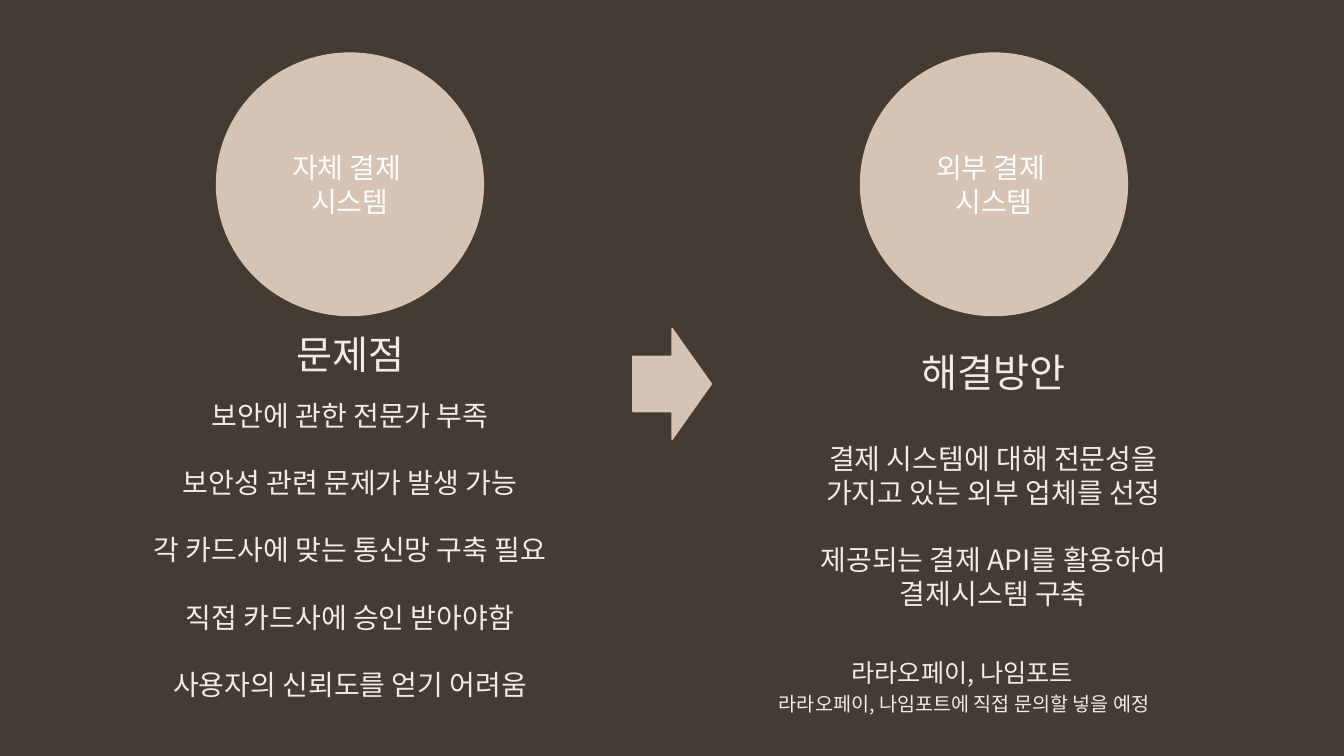
from pptx import Presentation
from pptx.dml.color import RGBColor
from pptx.enum.shapes import MSO_SHAPE
from pptx.enum.text import MSO_ANCHOR, MSO_AUTO_SIZE, PP_ALIGN
from pptx.oxml.ns import qn
from pptx.util import Cm, Pt

OVAL, ARROW = MSO_SHAPE.OVAL, MSO_SHAPE.RIGHT_ARROW
TOP, MIDDLE = MSO_ANCHOR.TOP, MSO_ANCHOR.MIDDLE
FIXED = MSO_AUTO_SIZE.NONE
LEFT, CENTER = PP_ALIGN.LEFT, PP_ALIGN.CENTER

FONT = "Noto Sans CJK KR"
COLORS = {"back": "443B32", "sand": "D6C3B4", "cream": "F1ECE6", "white": "FFFFFF"}

# Boxes are left, top, width, height in cm; each point is a list of lines
SIDES = [
    {
        "circle": ["자체 결제 ", "시스템"],
        "left": 5.44,
        "head": "문제점",
        "head_box": (7.19, 8.2, 3.28, 1.45),
        "points": [
            ["보안에 관한 전문가 부족"],
            ["보안성 관련 문제가 발생 가능"],
            ["각 카드사에 맞는 통신망 구축 필요"],
            ["직접 카드사에 승인 받아야함"],
            ["사용자의 신뢰도를 얻기 어려움"],
        ],
        "list_box": (3.4, 9.91, 10.85, 7.95),
    },
    {
        "circle": ["외부 결제 ", "시스템"],
        "left": 21.67,
        "head": "해결방안",
        "head_box": (22.91, 8.64, 4.27, 1.45),
        "points": [
            ["결제 시스템에 대해 전문성을", "가지고 있는 외부 업체를 선정"],
            ["제공되는 결제 API를 활용하여", "결제시스템 구축"],
        ],
        "list_box": (20.17, 11, 9.73, 4.52),
    },
]
NOTES = [
    ("라라오페이, 나임포트", 18, CENTER, (20.07, 16.43, 8.36, 1.02)),
    ("라라오페이, 나임포트에 직접 문의할 넣을 예정", 14, LEFT, (19.38, 17.32, 10.19, 0.86)),
]
CIRCLE_TOP, CIRCLE_W, CIRCLE_H = 1.32, 6.76, 6.65
ARROW_BOX = (15.95, 8.28, 1.98, 2.79)


def paint(fill, color):
    fill.solid()
    fill.fore_color.rgb = RGBColor.from_string(COLORS[color])


def place(shape, box):
    shape.left, shape.top, shape.width, shape.height = map(Cm, box)


def write(shape, points, size, color="cream", align=CENTER, anchor=TOP):
    """Fill a shape with lines, leaving one line of space between points."""
    frame = shape.text_frame
    frame.word_wrap = True
    frame.auto_size = FIXED
    frame.vertical_anchor = anchor
    rows = [(line, n > 0 and k == 0)
            for n, point in enumerate(points) for k, line in enumerate(point)]
    for n, (line, gap) in enumerate(rows):
        par = frame.paragraphs[0] if n == 0 else frame.add_paragraph()
        par.text = line
        par.alignment = align
        par.line_spacing = Pt(size * 1.2)
        par.space_before = Pt(size * 1.2 if gap else 0)
        font = par.font
        font.name, font.size, font.bold = FONT, Pt(size), False
        font.color.rgb = RGBColor.from_string(COLORS[color])
        props = par._p.get_or_add_pPr()
        props.set("marL", "0")
        props.set("indent", "0")
        bare = props.makeelement(qn("a:buNone"), {})
        props.find(qn("a:defRPr")).addprevious(bare)


def draw(slide, kind, box):
    shape = slide.shapes.add_shape(kind, *map(Cm, box))
    shape.shadow.inherit = False
    paint(shape.fill, "sand")
    return shape


def main():
    deck = Presentation()
    deck.slide_width, deck.slide_height = Cm(33.87), Cm(19.05)
    slide = deck.slides.add_slide(deck.slide_layouts.get_by_name("Comparison"))
    paint(slide.background.fill, "back")

    title = slide.shapes.title._element
    title.getparent().remove(title)
    holders = list(slide.placeholders)
    for side, head, body in zip(SIDES, holders[::2], holders[1::2]):
        place(head, side["head_box"])
        write(head, [[side["head"]]], 28)
        place(body, side["list_box"])
        write(body, side["points"], 20)
        circle = draw(slide, OVAL, (side["left"], CIRCLE_TOP, CIRCLE_W, CIRCLE_H))
        circle.line.fill.background()
        write(circle, [side["circle"]], 20, "white", anchor=MIDDLE)

    for text, size, align, box in NOTES:
        note = slide.shapes.add_textbox(*map(Cm, box))
        write(note, [[text]], size, align=align)

    arrow = draw(slide, ARROW, ARROW_BOX)
    paint(arrow.line.fill, "sand")
    arrow.line.width = Pt(1)

    deck.save("out.pptx")


if __name__ == "__main__":
    main()
